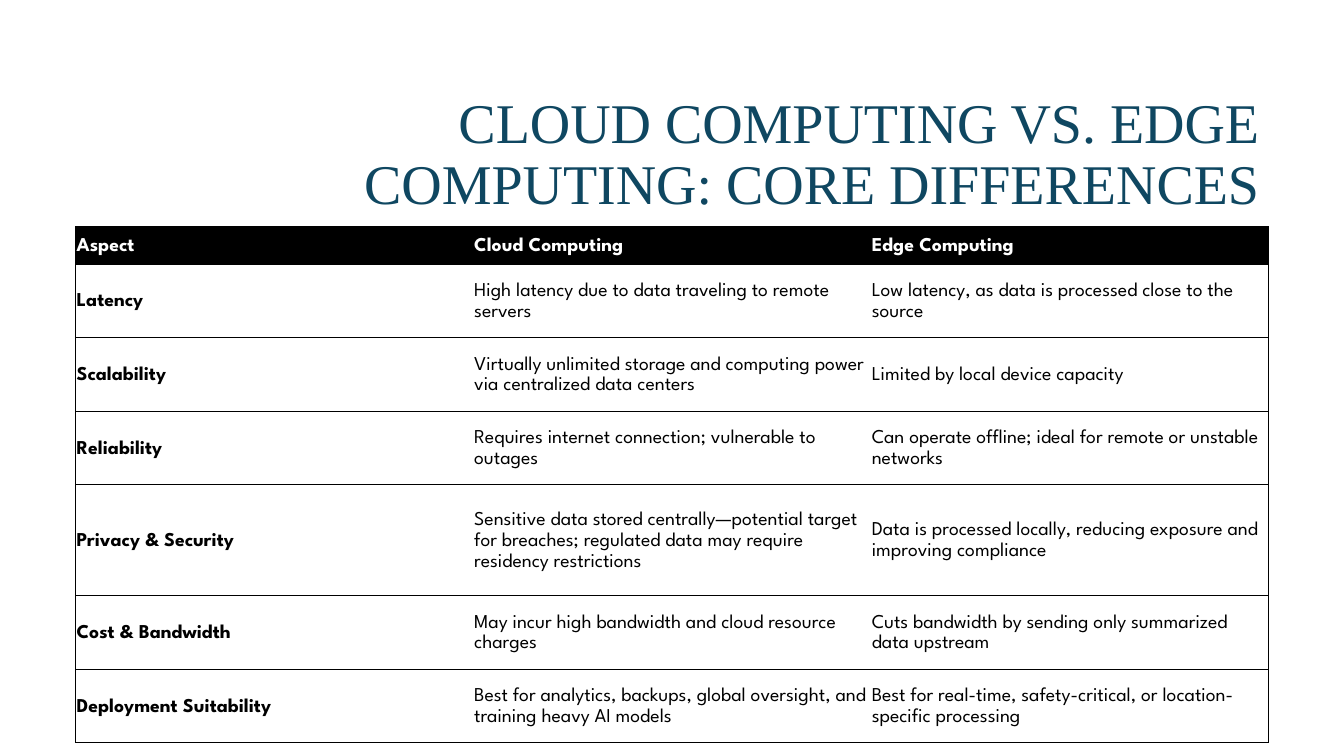
from dataclasses import dataclass

from lxml.etree import SubElement
from pptx import Presentation
from pptx.dml.color import RGBColor as Color
from pptx.enum.text import MSO_ANCHOR as Anchor, PP_ALIGN as Align
from pptx.oxml.ns import qn
from pptx.util import Pt

TITLE = "CLOUD COMPUTING VS. EDGE COMPUTING: CORE DIFFERENCES"
ROWS = [
    ("Aspect", "Cloud Computing", "Edge Computing"),
    ("Latency",
     "High latency due to data traveling to remote servers",
     "Low latency, as data is processed close to the source"),
    ("Scalability",
     "Virtually unlimited storage and computing power via centralized data centers",
     "Limited by local device capacity"),
    ("Reliability",
     "Requires internet connection; vulnerable to outages",
     "Can operate offline; ideal for remote or unstable networks"),
    ("Privacy & Security",
     "Sensitive data stored centrally—potential target for breaches; "
     "regulated data may require residency restrictions",
     "Data is processed locally, reducing exposure and improving compliance"),
    ("Cost & Bandwidth",
     "May incur high bandwidth and cloud resource charges",
     "Cuts bandwidth by sending only summarized data upstream"),
    ("Deployment Suitability",
     "Best for analytics, backups, global oversight, and training heavy AI models",
     "Best for real-time, safety-critical, or location-specific processing"),
]

# Lengths in px, 100 to the inch
SCALE = 9144
SLIDE_SIZE = (1333, 750)
TITLE_BOX = (317, 84, 942, 141)
TABLE_LEFT, TABLE_TOP, TABLE_WIDTH = 75, 225, 1183
ROW_HEIGHTS = (37, 73, 73, 73, 110, 73, 73)
CELL_INSET = 1


@dataclass(frozen=True)
class Theme:
    title_font: str = "Times New Roman"
    table_font: str = "League Spartan"
    title_size: int = 40
    table_size: int = 14
    title_color: str = "0F4761"
    ink: str = "000000"
    paper: str = "FFFFFF"
    rule_width: float = 0.75


THEME = Theme()


def px(length):
    return length * SCALE


def assign(target, values):
    for name, value in values.items():
        setattr(target, name, value)


def write(frame, text, font, color, paragraph):
    para = frame.paragraphs[0]
    assign(para, paragraph)
    span = para.add_run()
    span.text = text
    assign(span.font, font)
    span.font.color.rgb = Color.from_string(color)


def draw_borders(cell, sides):
    """Rule the named sides (L, R, T, B) and clear the others."""
    properties = cell._tc.get_or_add_tcPr()
    for side in "LRTB":
        line = SubElement(properties, qn(f"a:ln{side}"), w=str(Pt(THEME.rule_width)))
        if side in sides:
            fill = SubElement(line, qn("a:solidFill"))
            SubElement(fill, qn("a:srgbClr"), val=THEME.ink)
        else:
            SubElement(line, qn("a:noFill"))


def add_title(page):
    frame = page.shapes.add_textbox(*map(px, TITLE_BOX)).text_frame
    assign(frame, {"word_wrap": True, "vertical_anchor": Anchor.MIDDLE})
    write(frame, TITLE,
          {"name": THEME.title_font, "size": Pt(THEME.title_size)},
          THEME.title_color,
          {"alignment": Align.RIGHT, "line_spacing": 0.9})


def add_comparison(page):
    column_count = len(ROWS[0])
    table = page.shapes.add_table(
        len(ROWS), column_count, px(TABLE_LEFT), px(TABLE_TOP),
        px(TABLE_WIDTH), px(sum(ROW_HEIGHTS))).table
    assign(table, {"first_row": False, "horz_banding": False})
    for column in table.columns:
        column.width = px(TABLE_WIDTH) // column_count
    margins = {f"margin_{side}": px(CELL_INSET)
               for side in ("left", "top", "right", "bottom")}

    for row, texts in enumerate(ROWS):
        table.rows[row].height = px(ROW_HEIGHTS[row])
        header = row == 0
        for column, text in enumerate(texts):
            cell = table.cell(row, column)
            assign(cell, {"vertical_anchor": Anchor.MIDDLE, **margins})
            outer = {0: "L", column_count - 1: "R"}.get(column, "")
            draw_borders(cell, "TB" + outer)
            if header:
                cell.fill.solid()
                cell.fill.fore_color.rgb = Color.from_string(THEME.ink)
            else:
                cell.fill.background()
            write(cell.text_frame, text,
                  {"name": THEME.table_font, "size": Pt(THEME.table_size),
                   "bold": header or column == 0},
                  THEME.paper if header else THEME.ink,
                  {"line_spacing": 1.15, "space_after": Pt(8)})


def main():
    deck = Presentation()
    deck.slide_width, deck.slide_height = map(px, SLIDE_SIZE)
    page = deck.slides.add_slide(deck.slide_layouts[6])
    page.background.fill.solid()
    page.background.fill.fore_color.rgb = Color.from_string(THEME.paper)
    add_title(page)
    add_comparison(page)
    deck.save("out.pptx")


if __name__ == "__main__":
    main()
